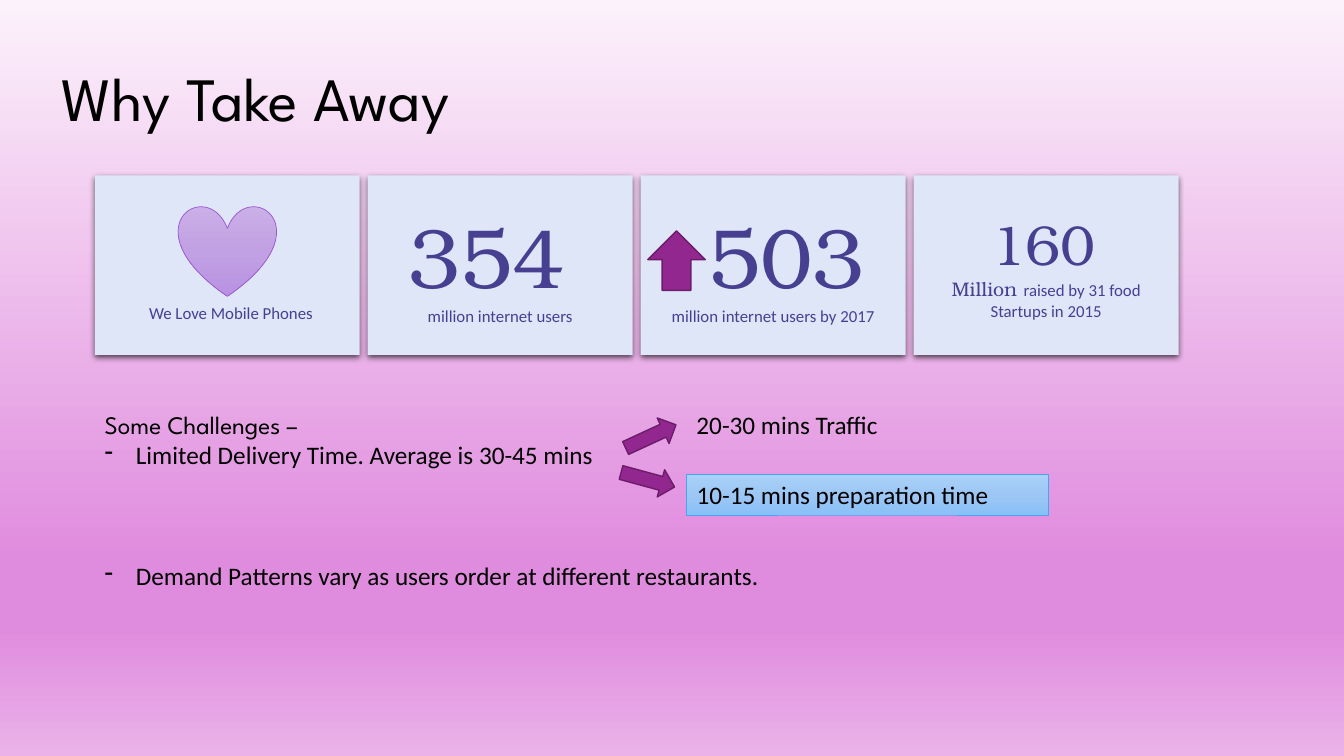
from dataclasses import dataclass
from lxml.etree import SubElement
from pptx import Presentation
from pptx.dml.color import RGBColor
from pptx.enum.shapes import MSO_SHAPE as Preset
from pptx.enum.text import MSO_ANCHOR as Anchor, PP_ALIGN as Align
from pptx.oxml.ns import qn
from pptx.util import Inches, Pt


@dataclass(frozen=True)
class Theme:
    body: str = "Calibri"
    heading: str = "League Spartan"
    numeral: str = "TeX Gyre Bonum"
    ink: str = "000000"
    indigo: str = "474091"
    white: str = "FFFFFF"
    card: str = "DEE6F8"
    arrow: str = "92278F"
    arrow_line: str = "6C1D6A"
    heart_line: str = "9B57D3"
    box_line: str = "45A5ED"
    backdrop: tuple = ((0, "FCF2FB"), (74, "E08CDE"), (83, "E08CDE"), (100, "EAB2E9"))
    heart: tuple = ((0, "CBAFE8"), (50, "C1A1E3"), (100, "B991E3"))
    sky: tuple = ((0, "ABD0F7"), (50, "9CC7F5"), (100, "89C0F7"))
    title_size: int = 44
    figure_size: int = 60
    text_size: int = 18
    caption_size: int = 12


THEME = Theme()


def set_gradient(fill, owner, stops):
    """Fill from top to bottom with any number of colour stops."""
    fill.gradient()
    fill.gradient_angle = 270
    stop_list = next(owner.iter(qn("a:gsLst")))
    for old in list(stop_list):
        stop_list.remove(old)
    for share, colour in stops:
        stop = SubElement(stop_list, qn("a:gs"), pos=str(share * 1000))
        SubElement(stop, qn("a:srgbClr"), val=colour)


def add_preset(page, preset, box, fill, line=None, weight=1.0, turn=0):
    shape = page.shapes.add_shape(preset, *map(Inches, box))
    shape.rotation = turn
    if isinstance(fill, str):
        shape.fill.solid()
        shape.fill.fore_color.rgb = RGBColor.from_string(fill)
    else:
        set_gradient(shape.fill, shape._element, fill)
    if line:
        shape.line.color.rgb = RGBColor.from_string(line)
        shape.line.width = Pt(weight)
    else:
        shape.line.fill.background()
    shape.shadow.inherit = False
    return shape


def add_arrow(page, preset, box, turn=0):
    add_preset(page, preset, box, THEME.arrow, THEME.arrow_line, turn=turn)


def write(shape, paragraphs, anchor=Anchor.TOP, align=Align.LEFT):
    """Each paragraph is a list of (text, size, font, colour) spans."""
    frame = shape.text_frame
    frame.word_wrap = True
    frame.vertical_anchor = anchor
    for number, spans in enumerate(paragraphs):
        para = frame.add_paragraph() if number else frame.paragraphs[0]
        para.alignment = align
        for text, size, font, colour in spans:
            span = para.add_run()
            span.text = text
            span.font.size = Pt(size)
            span.font.name = font
            span.font.color.rgb = RGBColor.from_string(colour)
    return frame.paragraphs


def add_text(page, box, paragraphs, **layout):
    return write(page.shapes.add_textbox(*map(Inches, box)), paragraphs, **layout)


def caption(text):
    return (text, THEME.caption_size, THEME.body, THEME.indigo)


def figure(text, size=THEME.figure_size):
    return (text, size, THEME.numeral, THEME.indigo)


def plain(text, font=THEME.body):
    return (text, THEME.text_size, font, THEME.ink)


def add_dash(para):
    props = para._p.get_or_add_pPr()
    props.set("marL", str(Inches(0.31)))
    props.set("indent", str(-Inches(0.31)))
    SubElement(props, qn("a:buFontTx"))
    SubElement(props, qn("a:buChar"), char="-")


def add_card(page, box, paragraphs):
    card = add_preset(page, Preset.RECTANGLE, box, THEME.card)
    effects = card._element.spPr.find(qn("a:effectLst"))
    shadow = SubElement(effects, qn("a:outerShdw"), blurRad=str(Pt(4.5)),
                        dist=str(Pt(1.5)), dir="5400000", algn="ctr", rotWithShape="0")
    colour = SubElement(shadow, qn("a:srgbClr"), val=THEME.ink)
    SubElement(colour, qn("a:alpha"), val="63000")
    write(card, paragraphs, Anchor.MIDDLE, Align.CENTER)


def add_title(page, box):
    paras = add_text(page, box, [[("Why Take Away", THEME.title_size, THEME.heading, THEME.ink)]],
                     anchor=Anchor.MIDDLE)
    paras[0].line_spacing = 0.9


def add_cards(page, box):
    left, top, width, height = box
    gap = 0.08
    card_width = (width - 3 * gap) / 4
    lefts = [left + column * (card_width + gap) for column in range(4)]
    contents = [
        [],
        [[figure("354 ")], [caption("million internet users")]],
        [[figure(" 503")], [caption("million internet users by 2017")]],
        [[figure("160", 40), (" ", THEME.text_size, THEME.body, THEME.white)],
         [figure("Million ", 14), caption("raised by 31 food Startups in 2015")]],
    ]
    for card_left, paragraphs in zip(lefts, contents):
        add_card(page, (card_left, top, card_width, height), paragraphs)
    # Heart with its caption, and the growth arrow
    add_preset(page, Preset.HEART, (left + 0.83, top + 0.3, 0.97, 0.9),
               THEME.heart, THEME.heart_line, 0.5)
    add_text(page, (left + 0.44, top + 1.21, 1.9, 0.3), [[caption("We Love Mobile Phones")]])
    add_arrow(page, Preset.UP_ARROW, (lefts[2] + 0.07, top + 0.55, 0.57, 0.59))


def add_challenges(page, box):
    left, top, width, height = box
    paras = add_text(page, box, [
        [plain("Some Challenges –", THEME.heading)],
        [plain("Limited Delivery Time. Average is 30-45 mins")],
        [plain("Demand Patterns vary as users order at different restaurants.")],
    ])
    for para in paras[1:]:
        add_dash(para)
    paras[2].space_before = Pt(65)
    # Delivery time split in two
    split = left + 5.87
    add_text(page, (split, top, 2.53, 0.4), [[plain("20-30 mins Traffic")]])
    preparation = add_preset(page, Preset.RECTANGLE, (split, top + 0.7, 3.59, 0.4),
                             THEME.sky, THEME.box_line, 0.5)
    write(preparation, [[plain("10-15 mins preparation time")]])
    add_arrow(page, Preset.RIGHT_ARROW, (split - 0.63, top + 0.18, 0.55, 0.28), 335.2)
    add_arrow(page, Preset.RIGHT_ARROW, (split - 0.66, top + 0.61, 0.55, 0.28), 15.2)


def main():
    deck = Presentation()
    deck.slide_width, deck.slide_height = Inches(13.33), Inches(7.5)
    page = deck.slides.add_slide(deck.slide_layouts[6])
    set_gradient(page.background.fill, page._element, THEME.backdrop)
    add_title(page, (0.51, 0.29, 10.5, 1.43))
    add_cards(page, (0.94, 1.74, 10.75, 1.78))
    add_challenges(page, (0.94, 4.01, 11.04, 2.22))
    deck.save("out.pptx")


if __name__ == "__main__":
    main()
